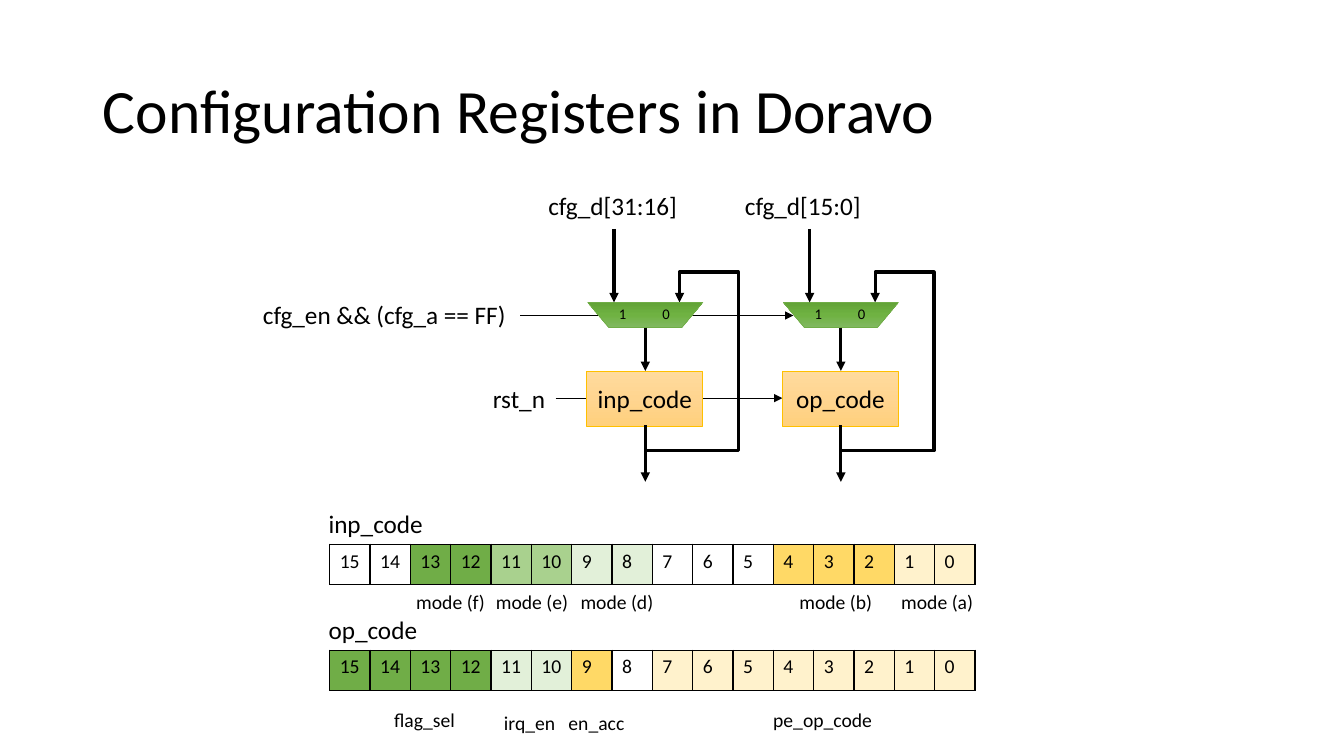
from copy import deepcopy
from lxml import etree
from pptx import Presentation
from pptx.dml.color import RGBColor
from pptx.enum import shapes, text
from pptx.oxml import ns
from pptx.util import Inches, Pt

COLORS = {
    "black": "000000", "white": "FFFFFF", "gold line": "FFC000", "green": "70AD47",
    "mid green": "A9D18E", "pale green": "E2F0D9", "gold": "FFD966", "cream": "FFF2CC",
}
BOX_GRADIENT = ("FFDB9E", "FFD590", "FFD07C")
MUX_GRADIENT = ("81B861", "6FB242", "62A336")
TITLE = "Configuration Registers in Doravo"
CHANNELS = [("inp_code", 6.4), ("op_code", 8.34)]
SIGNALS = [(5.51, 7.76, 3.95), (5.16, 7.87, 3.13)]
REGISTERS = [
    (5.4, [(None, 2), ("green", 2), ("mid green", 2), ("pale green", 2),
           (None, 3), ("gold", 3), ("cream", 2)]),
    (6.45, [("green", 4), ("pale green", 2), ("gold", 1), ("white", 1), ("cream", 8)]),
]
LABELS = [
    ("rst_n", 4.79, 3.75, 0.72, 18),
    ("cfg_en && (cfg_a == FF)", 2.51, 2.92, 2.65, 18),
    ("cfg_d[31:16]", 5.34, 1.84, 1.49, 18),
    ("cfg_d[15:0]", 7.29, 1.84, 1.36, 18),
    ("inp_code", 3.16, 4.99, 1.15, 18),
    ("op_code", 3.16, 6.05, 1.09, 18),
    ("mode (a)", 8.84, 5.8, 0.92, 14),
    ("mode (b)", 7.83, 5.8, 0.93, 14),
    ("mode (d)", 5.66, 5.8, 0.93, 14),
    ("mode (e)", 4.82, 5.8, 0.92, 14),
    ("mode (f)", 4.03, 5.8, 0.89, 14),
    ("flag_sel", 3.81, 6.97, 0.81, 14),
    ("irq_en", 4.9, 7, 0.72, 14),
    ("en_acc", 5.54, 7, 0.76, 14),
    ("pe_op_code", 7.57, 6.97, 1.19, 14),
]
LABEL_HEIGHTS = {18: 0.4, 14: 0.34, 10.5: 0.28}
CELL = 0.4
BITS = 16


def rgb(name):
    return RGBColor.from_string(COLORS[name])


def write_text(frame, content, size=18, align=text.PP_ALIGN.LEFT, spacing=None, tab=None):
    paragraph = frame.paragraphs[0]
    paragraph.alignment = align
    paragraph.line_spacing = spacing
    if tab:
        tabs = etree.SubElement(paragraph._p.get_or_add_pPr(), ns.qn("a:tabLst"))
        etree.SubElement(tabs, ns.qn("a:tab"), pos=str(Inches(tab)), algn="l")
    run = paragraph.add_run()
    run.text = content
    run.font.size = Pt(size)
    run.font.name = "Calibri"
    run.font.color.rgb = rgb("black")


def add_label(slide, content, left, top, width, size, **text_format):
    label = slide.shapes.add_textbox(*map(Inches, (left, top, width, LABEL_HEIGHTS[size])))
    label.text_frame.word_wrap = False
    label.text_frame.auto_size = text.MSO_AUTO_SIZE.SHAPE_TO_FIT_TEXT
    write_text(label.text_frame, content, size, **text_format)


def add_arrow(slide, x1, y1, x2, y2, width=2.25, kind=shapes.MSO_CONNECTOR.STRAIGHT):
    arrow = slide.shapes.add_connector(kind, *map(Inches, (x1, y1, x2, y2)))
    arrow.line.color.rgb = rgb("black")
    arrow.line.width = Pt(width)
    etree.SubElement(arrow.line._get_or_add_ln(), ns.qn("a:tailEnd"), type="triangle")
    etree.SubElement(arrow._element.spPr, ns.qn("a:effectLst"))
    return arrow


def add_feedback(slide, center):
    left, top = center - 0.44, 3.44
    loop = add_arrow(slide, left + 1.22, top + 0.34, left, top, kind=shapes.MSO_CONNECTOR.ELBOW)
    properties = loop._element.spPr
    properties.find(ns.qn("a:xfrm")).set("rot", "5400000")
    geometry = properties.find(ns.qn("a:prstGeom"))
    geometry.set("prst", "bentConnector5")
    guides = geometry.find(ns.qn("a:avLst"))
    for number, value in enumerate((-20500, 271800, 124700), 1):
        etree.SubElement(guides, ns.qn("a:gd"), name=f"adj{number}", fmla=f"val {value}")


def add_block(slide, kind, left, top, width, height, gradient, line):
    block = slide.shapes.add_shape(kind, *map(Inches, (left, top, width, height)))
    block.shadow.inherit = False
    block.line.color.rgb = rgb(line)
    block.line.width = Pt(0.5)
    block.fill.gradient()
    block.fill.gradient_angle = 270
    stop_list = block._element.spPr.find(".//" + ns.qn("a:gsLst"))
    stop_list.insert(1, deepcopy(stop_list[0]))
    for stop, color, position in zip(block.fill.gradient_stops, gradient, (0, 0.5, 1)):
        stop.color.rgb = RGBColor.from_string(color)
        stop.position = position
    return block


def add_channel(slide, name, center):
    box = add_block(slide, shapes.MSO_SHAPE.RECTANGLE, center - 0.58, 3.68, 1.15, 0.55,
                    BOX_GRADIENT, "gold line")
    box.text_frame.vertical_anchor = text.MSO_ANCHOR.MIDDLE
    box.text_frame.word_wrap = False
    write_text(box.text_frame, name, align=text.PP_ALIGN.CENTER)
    add_feedback(slide, center)
    mux = add_block(slide, shapes.MSO_SHAPE.TRAPEZOID, center - 0.57, 3, 1.14, 0.25,
                    MUX_GRADIENT, "green")
    mux.rotation = 180
    mux.adjustments[0] = 0.832
    add_label(slide, "1\t0", center - 0.36, 2.97, 0.72, 10.5, tab=0.43)
    for x, start, end in ((center - 0.31, 2.27, 3), (center, 3.25, 3.68), (center, 4.22, 4.78)):
        add_arrow(slide, x, start, x, end)


def add_borders(cell):
    properties = cell._tc.get_or_add_tcPr()
    for index, side in enumerate("LRTB"):
        border = etree.Element(ns.qn(f"a:ln{side}"), w=str(Pt(1)))
        fill = etree.SubElement(border, ns.qn("a:solidFill"))
        etree.SubElement(fill, ns.qn("a:srgbClr"), val=COLORS["black"])
        properties.insert(index, border)


def add_register(slide, top, fields):
    frame = slide.shapes.add_table(1, BITS, *map(Inches, (3.27, top, BITS * CELL, CELL)))
    table = frame.table
    table.first_row = table.horz_banding = False
    fills = [color for color, count in fields for _ in range(count)]
    for column, color in enumerate(fills):
        table.columns[column].width = Inches(CELL)
        cell = table.cell(0, column)
        if color:
            cell.fill.solid()
            cell.fill.fore_color.rgb = rgb(color)
        else:
            cell.fill.background()
        add_borders(cell)
        write_text(cell.text_frame, str(BITS - 1 - column), 14)


def main():
    presentation = Presentation()
    presentation.slide_width, presentation.slide_height = Inches(13.33), Inches(7.5)
    slide = presentation.slides.add_slide(presentation.slide_layouts[5])
    title = slide.shapes.title
    title.left, title.top, title.width, title.height = map(Inches, (0.92, 0.4, 11.5, 1.45))
    title.text_frame.vertical_anchor = text.MSO_ANCHOR.MIDDLE
    write_text(title.text_frame, TITLE, 44, spacing=0.9)
    for start, end, y in SIGNALS:
        add_arrow(slide, start, y, end, y, width=0.5)
    for name, center in CHANNELS:
        add_channel(slide, name, center)
    for top, fields in REGISTERS:
        add_register(slide, top, fields)
    for label in LABELS:
        add_label(slide, *label)
    presentation.save("out.pptx")


if __name__ == "__main__":
    main()
